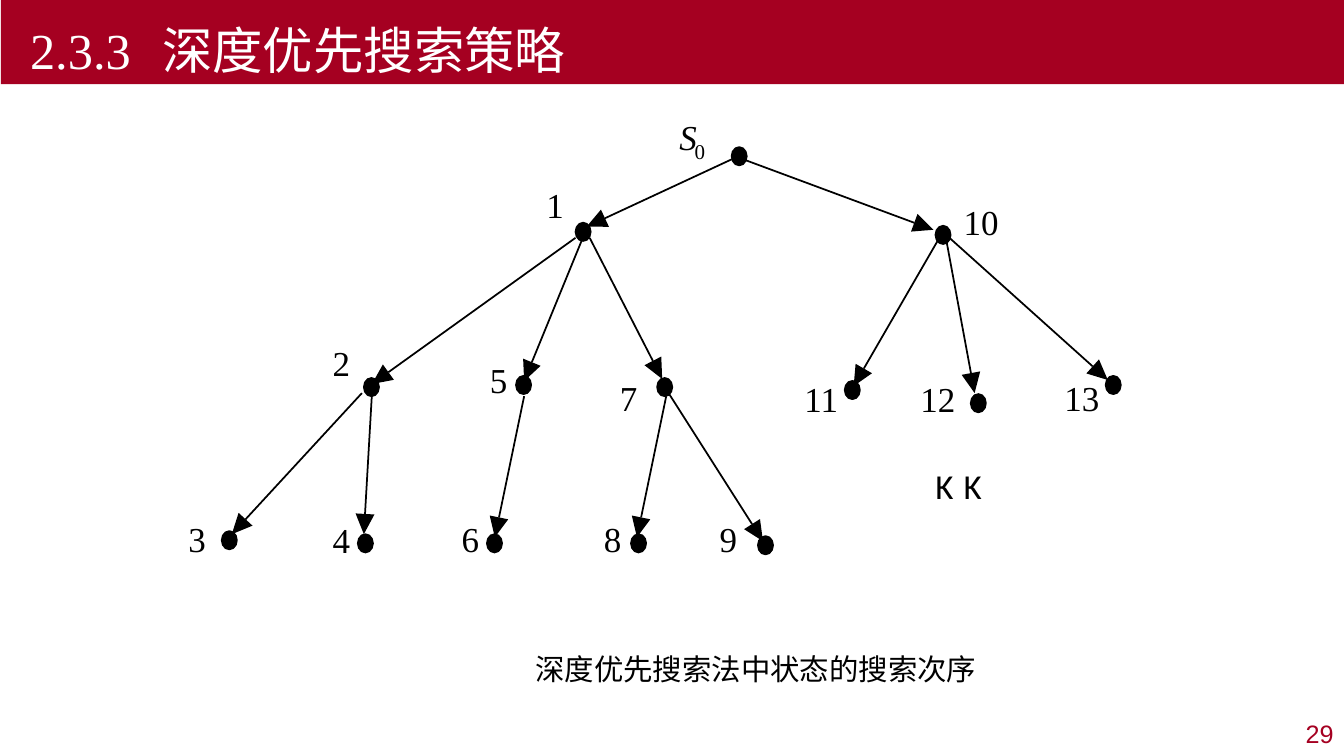
import math
from dataclasses import dataclass

from lxml import etree
from pptx import Presentation
from pptx.dml.color import RGBColor
from pptx.enum import shapes, text
from pptx.oxml import ns
from pptx.util import Pt


@dataclass(frozen=True)
class Theme:
    crimson: RGBColor = RGBColor(0xA5, 0x00, 0x21)
    white: RGBColor = RGBColor(0xFF, 0xFF, 0xFF)
    black: RGBColor = RGBColor(0, 0, 0)
    serif: str = "Times New Roman"
    sans: str = "Arial"
    plain: str = "Calibri"
    chinese: str = "Noto Sans CJK SC"
    title_size: float = 36
    label_size: float = 25
    caption_size: float = 21
    page_size: float = 18
    subscript_size: float = 15
    line_width: float = 1.25


THEME = Theme()
NODE_WIDTH, NODE_HEIGHT = 10.8, 13
HEAD_LENGTH, HEAD_HALF_WIDTH = 14.5, 6.75
LABEL_HEIGHT, DIGIT_WIDTH = 30.2, 12.6

NODE_CENTRES = [
    (398, 31.6), (286.5, 85.6), (543.6, 87.8),
    (135.3, 196.5), (244, 195), (344.8, 196.5),
    (478.8, 198.6), (568.8, 208), (665.2, 195),
    (33.8, 305.9), (131, 308.1), (223.2, 308.1), (326.1, 308.1), (416.8, 309.5),
]
ARROWS = [
    ((392.7, 33.8), (289, 82)),
    ((402.8, 34.5), (536.7, 84.2)),
    ((281.1, 89.9), (135.7, 194.3)),
    ((285.4, 92.1), (244.4, 192.2)),
    ((291.2, 89.9), (343, 190.7)),
    ((541, 89.9), (479.8, 195.8)),
    ((545.4, 88.5), (566.2, 200.8)),
    ((548.2, 89.9), (661.3, 191.4)),
    ((128.5, 200.8), (35.6, 301.6)),
    ((135.7, 200.8), (129.9, 301.6)),
    ((244.4, 203), (223.5, 303.8)),
    ((345.9, 203), (325, 303.8)),
    ((343, 193.6), (415, 306.6)),
]
ORDER_LABELS = [
    (260.2, 51), (107.6, 164.1), (4.6, 289.4), (107.6, 290.1), (219.9, 176.3),
    (199.8, 289.4), (312.8, 188.6), (301.3, 289.4), (384.1, 289.4), (558.3, 63.3),
    (444.6, 189.3), (527.4, 189.3), (630.3, 188.6),
]


def style_text(paragraph, content, font_name, size, color, italic=False):
    paragraph.text = content
    font = paragraph.font
    font.name, font.size, font.italic = font_name, Pt(size), italic
    font.color.rgb = color
    defaults = paragraph._p.pPr.find(ns.qn("a:defRPr"))
    etree.SubElement(defaults, ns.qn("a:ea")).set("typeface", THEME.chinese)


def add_label(slide, box, content, font_name, size, italic=False):
    frame = slide.shapes.add_textbox(*map(Pt, box)).text_frame
    frame.margin_left = frame.margin_right = frame.margin_top = frame.margin_bottom = 0
    frame.word_wrap = False
    style_text(frame.paragraphs[0], content, font_name, size, THEME.black, italic)


def add_node(slide, x, y):
    shape = slide.shapes.add_shape(
        shapes.MSO_SHAPE.OVAL, Pt(x - NODE_WIDTH / 2), Pt(y - NODE_HEIGHT / 2),
        Pt(NODE_WIDTH), Pt(NODE_HEIGHT))
    shape.shadow.inherit = False
    shape.fill.solid()
    shape.fill.fore_color.rgb = THEME.black
    shape.line.color.rgb = THEME.black
    shape.line.width = Pt(THEME.line_width)


def add_arrow(slide, start, tip):
    angle = math.atan2(tip[1] - start[1], tip[0] - start[0])
    across, down = math.cos(angle), math.sin(angle)
    base_x, base_y = tip[0] - HEAD_LENGTH * across, tip[1] - HEAD_LENGTH * down
    connector = slide.shapes.add_connector(
        shapes.MSO_CONNECTOR.STRAIGHT, *map(Pt, (*start, base_x, base_y)))
    connector.line.color.rgb = THEME.black
    connector.line.width = Pt(THEME.line_width)
    etree.SubElement(connector._element.spPr, ns.qn("a:effectLst"))

    corners = [(Pt(base_x - side * HEAD_HALF_WIDTH * down),
                Pt(base_y + side * HEAD_HALF_WIDTH * across)) for side in (-1, 1)]
    builder = slide.shapes.build_freeform(Pt(tip[0]), Pt(tip[1]))
    builder.add_line_segments(corners, close=True)
    head = builder.convert_to_shape()
    head.shadow.inherit = False
    head.fill.solid()
    head.fill.fore_color.rgb = THEME.black
    head.line.fill.background()


def add_title_bar(slide, box):
    shape = slide.shapes.add_shape(shapes.MSO_SHAPE.RECTANGLE, *map(Pt, box))
    shape.shadow.inherit = False
    shape.fill.solid()
    shape.fill.fore_color.rgb = THEME.crimson
    shape.line.fill.background()
    frame = shape.text_frame
    frame.vertical_anchor = text.MSO_ANCHOR.BOTTOM
    paragraph = frame.paragraphs[0]
    paragraph.alignment = text.PP_ALIGN.LEFT
    properties = paragraph._p.get_or_add_pPr()
    properties.set("marL", "0")
    properties.set("indent", str(Pt(13.7)))
    tabs = etree.SubElement(properties, ns.qn("a:tabLst"))
    etree.SubElement(tabs, ns.qn("a:tab"), pos=str(Pt(112)), algn="l")
    style_text(paragraph, "2.3.3\t深度优先搜索策略", THEME.serif, THEME.title_size, THEME.white)


def add_search_tree(slide, box):
    left, top, width, height = box

    def place(point):
        return left + point[0], top + point[1]

    def label(point, content, font_name=THEME.serif, size=THEME.label_size, italic=False):
        label_box = (*place(point), DIGIT_WIDTH * len(content), LABEL_HEIGHT * size / THEME.label_size)
        add_label(slide, label_box, content, font_name, size, italic)

    for centre in NODE_CENTRES:
        add_node(slide, *place(centre))
    for start, tip in ARROWS:
        add_arrow(slide, place(start), place(tip))
    label((355.3, 2.8), "S", italic=True)
    label((366.1, 18.6), "0", size=THEME.subscript_size)
    for order, point in enumerate(ORDER_LABELS, 1):
        label(point, str(order))
    for x in (538.2, 558.3):
        label((x, 251.9), "K", THEME.plain)
    caption_box = (left + 252.3, top + height - 25, 318.2, 25)
    add_label(slide, caption_box, "深度优先搜索法中状态的搜索次序", THEME.chinese, THEME.caption_size)


def add_page_number(slide, box):
    frame = slide.shapes.add_textbox(*map(Pt, box)).text_frame
    frame.word_wrap = True
    frame.vertical_anchor = text.MSO_ANCHOR.MIDDLE
    paragraph = frame.paragraphs[0]
    paragraph.alignment = text.PP_ALIGN.RIGHT
    style_text(paragraph, "29", THEME.sans, THEME.page_size, THEME.crimson)


def main():
    presentation = Presentation()
    presentation.slide_width, presentation.slide_height = Pt(960), Pt(540)
    slide = presentation.slides.add_slide(presentation.slide_layouts[6])
    add_page_number(slide, (751.7, 510, 208, 28))
    add_search_tree(slide, (130, 80, 675, 410))
    add_title_bar(slide, (0.7, 0, 959.3, 60.2))
    presentation.save("out.pptx")


if __name__ == "__main__":
    main()
